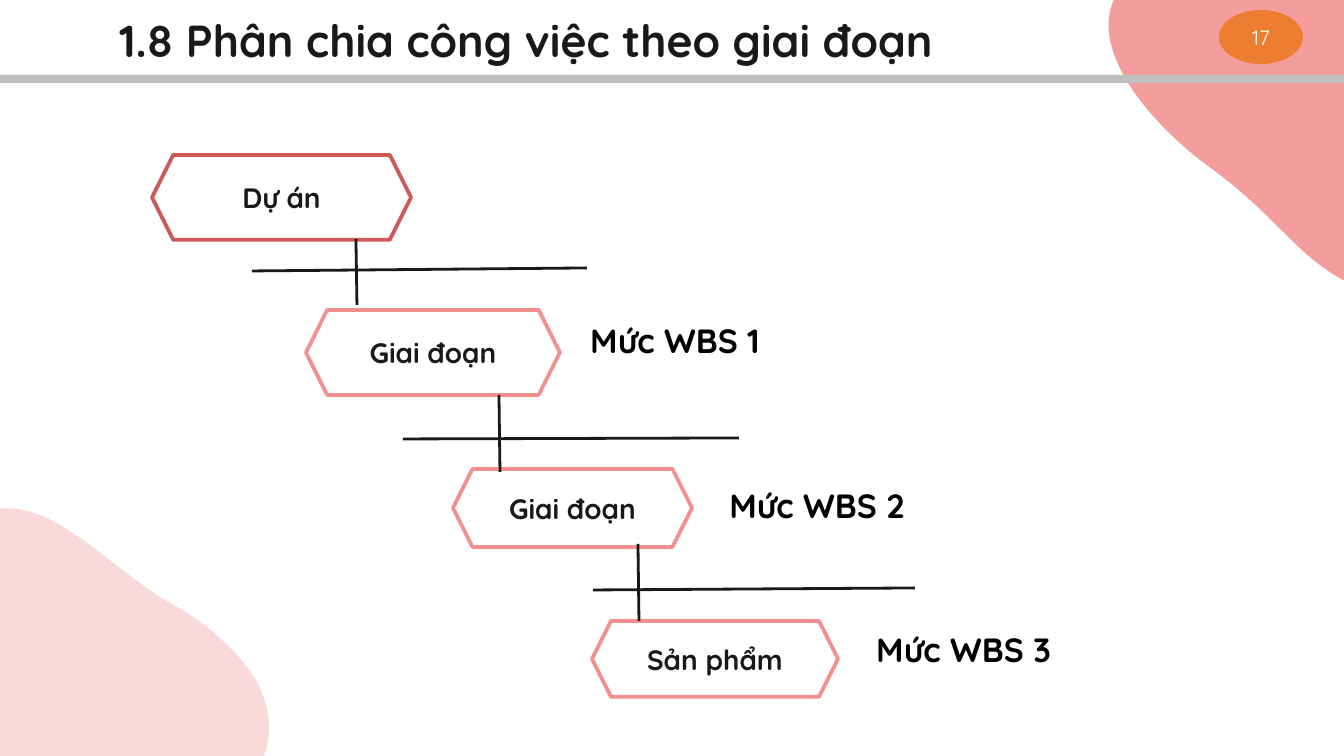
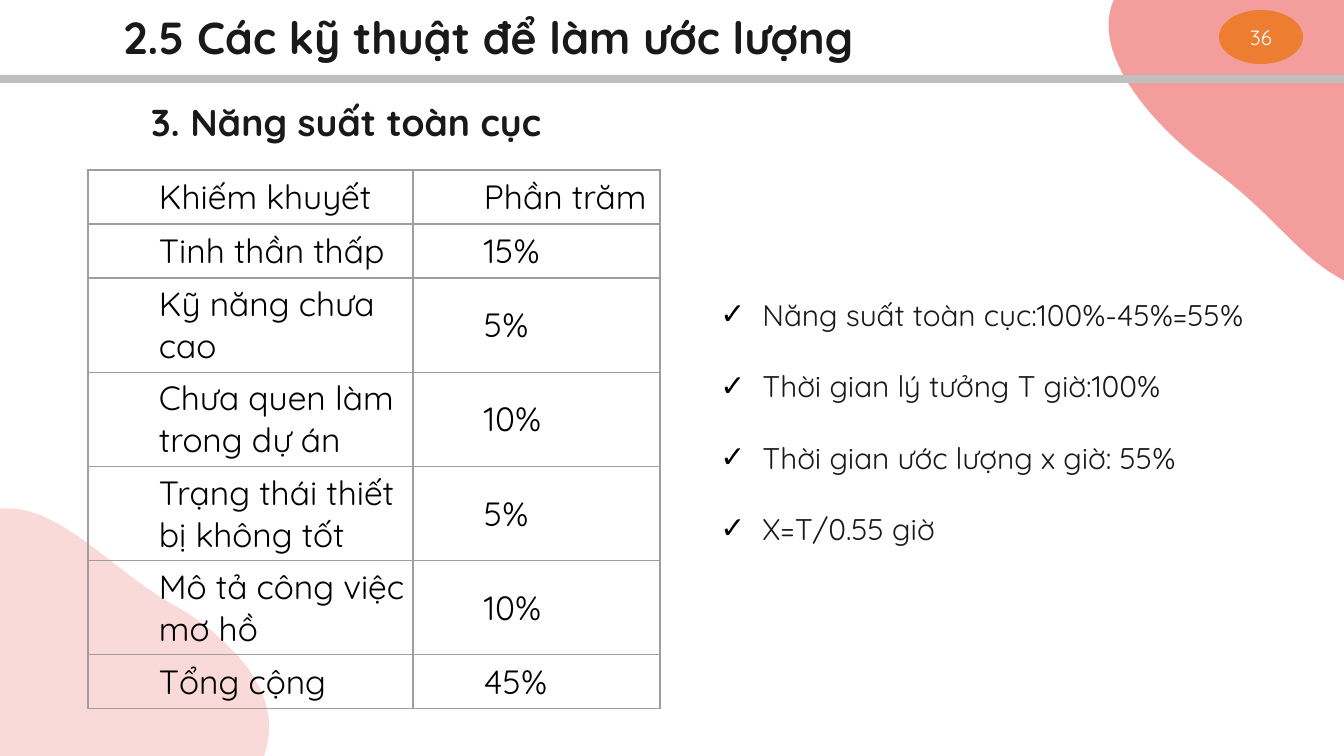
from typing import NamedTuple

from lxml import etree
from pptx import Presentation
from pptx.dml.color import RGBColor
from pptx.enum.shapes import MSO_CONNECTOR, MSO_SHAPE
from pptx.enum.text import MSO_ANCHOR, MSO_AUTO_SIZE, PP_ALIGN
from pptx.oxml import parse_xml
from pptx.oxml.ns import nsdecls, qn
from pptx.util import Emu, Pt

EMU_PER_PX = 914400 / 134.4
WIDTH, HEIGHT = 1344, 756
FONT = "Quicksand"
INK, BLACK, WHITE = "191919", "000000", "FFFFFF"
GREY, ORANGE, RED = "BFBFBF", "ED7D31", "E94444"
DARK_ROSE, ROSE, BORDER = "CF5858", "F28F8F", "9E9E9E"
RECT, ELLIPSE, HEXAGON = MSO_SHAPE.RECTANGLE, MSO_SHAPE.OVAL, MSO_SHAPE.HEXAGON
LEFT, CENTER, JUSTIFY = PP_ALIGN.LEFT, PP_ALIGN.CENTER, PP_ALIGN.JUSTIFY
TOP, MIDDLE = MSO_ANCHOR.TOP, MSO_ANCHOR.MIDDLE
STRAIGHT = MSO_CONNECTOR.STRAIGHT
NO_AUTOSIZE = MSO_AUTO_SIZE.NONE
TITLE_ONLY, TITLE_AND_BODY = 5, 1


class Box(NamedTuple):
    x: int
    y: int
    w: int
    h: int


class Stage(NamedTuple):
    text: str
    box: Box
    line: str = ROSE


class Segment(NamedTuple):
    x1: int
    y1: int
    x2: int
    y2: int


class Label(NamedTuple):
    text: str
    x: int
    y: int


class Blob(NamedTuple):
    """A closed outline: a start point, then cubic curves of three points."""
    alpha: int
    start: tuple[int, int]
    curves: list[tuple[int, ...]]


BLOBS = [
    Blob(20, (-7, 775), [
        (-24, 755, -40, 730, -56, 696), (-56, 696, -82, 632, -77, 583),
        (-71, 534, -35, 504, 17, 509), (70, 516, 118, 575, 177, 607),
        (200, 620, 219, 636, 235, 653), (262, 681, 276, 716, 266, 750),
        (251, 804, 208, 782, 163, 812), (126, 836, 55, 843, -7, 775)]),
    Blob(52, (1118, -8), [
        (1128, -24, 1146, -38, 1176, -48), (1176, -48, 1236, -65, 1304, -50),
        (1371, -35, 1439, 11, 1476, 67), (1513, 125, 1477, 165, 1486, 224),
        (1491, 246, 1488, 266, 1478, 280), (1464, 302, 1431, 312, 1380, 296),
        (1300, 269, 1290, 226, 1212, 169), (1152, 126, 1083, 47, 1118, -8)]),
]
STAGES = [
    Stage("Dự án", Box(152, 155, 259, 85), DARK_ROSE),
    Stage("Giai đoạn", Box(306, 310, 254, 85)),
    Stage("Giai đoạn", Box(453, 469, 239, 78)),
    Stage("Sản phẩm", Box(592, 621, 246, 76)),
]
BRANCHES = [
    Segment(915, 588, 593, 590), Segment(739, 438, 403, 439),
    Segment(587, 268, 252, 271), Segment(638, 544, 639, 621),
    Segment(356, 239, 357, 305), Segment(499, 395, 500, 472),
]
LEVELS = [Label("Mức WBS 1", 577, 313), Label("Mức WBS 2", 716, 478),
          Label("Mức WBS 3", 863, 622)]
DEFECTS = [
    ("Khiếm khuyết", "Phần trăm"),
    ("Tinh thần thấp", "15%"),
    ("Kỹ năng chưa cao", "5%"),
    ("Chưa quen làm trong dự án", "10%"),
    ("Trạng thái thiết bị không tốt", "5%"),
    ("Mô tả công việc mơ hồ", "10%"),
    ("Tổng cộng", "45%"),
]
DEFECT_COLS = (325, 247)
DEFECT_ROWS = (54, 54, 94, 94, 94, 94, 54)
ESTIMATES = ["Năng suất toàn cục:100%-45%=55%", "Thời gian lý tưởng T giờ:100%",
             "Thời gian ước lượng x giờ: 55%", "X=T/0.55 giờ"]


def px(n: float) -> Emu:
    return Emu(round(n * EMU_PER_PX))


def rgb(value: str) -> RGBColor:
    return RGBColor.from_string(value)


def place(shape, box: Box) -> None:
    shape.left, shape.top, shape.width, shape.height = map(px, box)


def format_paragraph(p, text: str, *, size: float, color: str = INK,
                     bold: bool = False, align=LEFT) -> None:
    p.alignment = align
    r = p.add_run()
    r.text = text
    r.font.name, r.font.size, r.font.bold = FONT, Pt(size), bold
    r.font.color.rgb = rgb(color)


def write(shape, text: str, *, anchor=TOP, **fmt) -> None:
    tf = shape.text_frame
    tf.word_wrap = True
    tf.auto_size = NO_AUTOSIZE
    tf.vertical_anchor = anchor
    format_paragraph(tf.paragraphs[0], text, **fmt)


def add_text(s, box: Box, text: str, **fmt) -> None:
    write(s.shapes.add_textbox(*map(px, box)), text, **fmt)


def add_shape(s, kind, box: Box, fill: str, line: str | None = None):
    shape = s.shapes.add_shape(kind, *map(px, box))
    shape.shadow.inherit = False
    shape.fill.solid()
    shape.fill.fore_color.rgb = rgb(fill)
    if line:
        shape.line.color.rgb = rgb(line)
        shape.line.width = Pt(2)
    else:
        shape.line.fill.background()
    return shape


def add_line(s, seg: Segment) -> None:
    line = s.shapes.add_connector(STRAIGHT, *map(px, seg))
    line.line.color.rgb = rgb(INK)
    line.line.width = Pt(1.5)
    etree.SubElement(line.element.spPr, qn("a:effectLst"))


def bend(shape, blob: Blob) -> None:
    """Turn each straight side of the freeform into its cubic curve."""
    corners = [blob.start] + [curve[4:] for curve in blob.curves]
    left, top = (min(axis) for axis in zip(*corners))
    sides = shape.element.spPr.findall(".//" + qn("a:lnTo"))
    for side, curve in zip(sides, blob.curves):
        cubic = etree.Element(qn("a:cubicBezTo"))
        for x, y in zip(curve[::2], curve[1::2]):
            pt = etree.SubElement(cubic, qn("a:pt"))
            pt.set("x", str(x - left))
            pt.set("y", str(y - top))
        side.getparent().replace(side, cubic)


def add_master_blobs(prs, s) -> None:
    """Build the blobs on a slide, then move them behind the master's content."""
    tree = prs.slide_master.shapes.element
    for i, blob in enumerate(BLOBS):
        builder = s.shapes.build_freeform(*blob.start, scale=EMU_PER_PX)
        builder.add_line_segments([curve[4:] for curve in blob.curves])
        shape = builder.convert_to_shape()
        bend(shape, blob)
        shape.shadow.inherit = False
        shape.line.fill.background()
        shape.fill.solid()
        shape.fill.fore_color.rgb = rgb(RED)
        color = shape.element.spPr.find(".//" + qn("a:srgbClr"))
        etree.SubElement(color, qn("a:alpha")).set("val", str(blob.alpha * 1000))
        tree.insert(2 + i, shape.element)


def add_slide(prs, layout: int, title: str, title_box: Box, number: int):
    s = prs.slides.add_slide(prs.slide_layouts[layout])
    add_shape(s, RECT, Box(0, 75, WIDTH, 8), GREY)
    badge = add_shape(s, ELLIPSE, Box(1219, 10, 84, 54), ORANGE)
    write(badge, str(number), anchor=MIDDLE, size=11, color=WHITE, align=CENTER)
    place(s.shapes.title, title_box)
    write(s.shapes.title, title, size=24, bold=True)
    return s


def set_indent(p, left: int, first: int = 0):
    pPr = p._p.get_or_add_pPr()
    pPr.set("marL", str(px(left)))
    pPr.set("indent", str(px(first)))
    return pPr


def add_check_list(body, items: list[str]) -> None:
    tf = body.text_frame
    tf.word_wrap = True
    tf.auto_size = NO_AUTOSIZE
    tf.vertical_anchor = TOP
    for i, item in enumerate(items):
        p = tf.add_paragraph() if i else tf.paragraphs[0]
        p.space_before = Pt(19 if i else 0)
        pPr = set_indent(p, 42, -42)
        color = etree.SubElement(pPr, qn("a:buClr"))
        etree.SubElement(color, qn("a:srgbClr")).set("val", BLACK)
        etree.SubElement(pPr, qn("a:buChar")).set("char", "✓")
        format_paragraph(p, item, size=16)


def add_borders(cell) -> None:
    tcPr = cell._tc.get_or_add_tcPr()
    for i, side in enumerate("LRTB"):
        tcPr.insert(i, parse_xml(
            f'<a:ln{side} {nsdecls("a")} w="{Pt(0.75)}"><a:solidFill>'
            f'<a:srgbClr val="{BORDER}"/></a:solidFill></a:ln{side}>'))


def add_defect_table(s, x: int, y: int) -> None:
    box = Box(x, y, sum(DEFECT_COLS), sum(DEFECT_ROWS))
    table = s.shapes.add_table(len(DEFECTS), len(DEFECT_COLS), *map(px, box)).table
    table.first_row = table.horz_banding = False
    for col, width in zip(table.columns, DEFECT_COLS):
        col.width = px(width)
    for i, (row, height, texts) in enumerate(zip(table.rows, DEFECT_ROWS, DEFECTS)):
        row.height = px(height)
        for j, (cell, text) in enumerate(zip(row.cells, texts)):
            cell.fill.background()
            cell.vertical_anchor = MIDDLE
            cell.margin_left = cell.margin_right = px(4)
            cell.margin_top = cell.margin_bottom = px(5)
            add_borders(cell)
            p = cell.text_frame.paragraphs[0]
            set_indent(p, 67)
            format_paragraph(p, text, size=18, color=BLACK,
                             align=JUSTIFY if j and i > 1 else LEFT)


def build_phases(prs) -> None:
    s = add_slide(prs, TITLE_ONLY, "1.8 Phân chia công việc theo giai đoạn",
                  Box(106, 6, 868, 67), 17)
    add_master_blobs(prs, s)
    for stage in STAGES:
        shape = add_shape(s, HEXAGON, stage.box, WHITE, stage.line)
        write(shape, stage.text, anchor=MIDDLE, size=15, bold=True, align=CENTER)
    for seg in BRANCHES:
        add_line(s, seg)
    for label in LEVELS:
        add_text(s, Box(label.x, label.y, 215, 86), label.text,
                 size=18, color=BLACK, bold=True)


def build_productivity(prs) -> None:
    s = add_slide(prs, TITLE_AND_BODY, "2.5 Các kỹ thuật để làm ước lượng",
                  Box(110, 3, 868, 67), 36)
    add_text(s, Box(138, 93, 464, 59), "3. Năng suất toàn cục", size=20, bold=True)
    add_defect_table(s, 88, 170)
    body = s.placeholders[1]
    place(body, Box(707, 290, 555, 267))
    add_check_list(body, ESTIMATES)


def main() -> None:
    prs = Presentation()
    prs.slide_width, prs.slide_height = px(WIDTH), px(HEIGHT)
    build_phases(prs)
    build_productivity(prs)
    prs.save("out.pptx")


if __name__ == "__main__":
    main()
